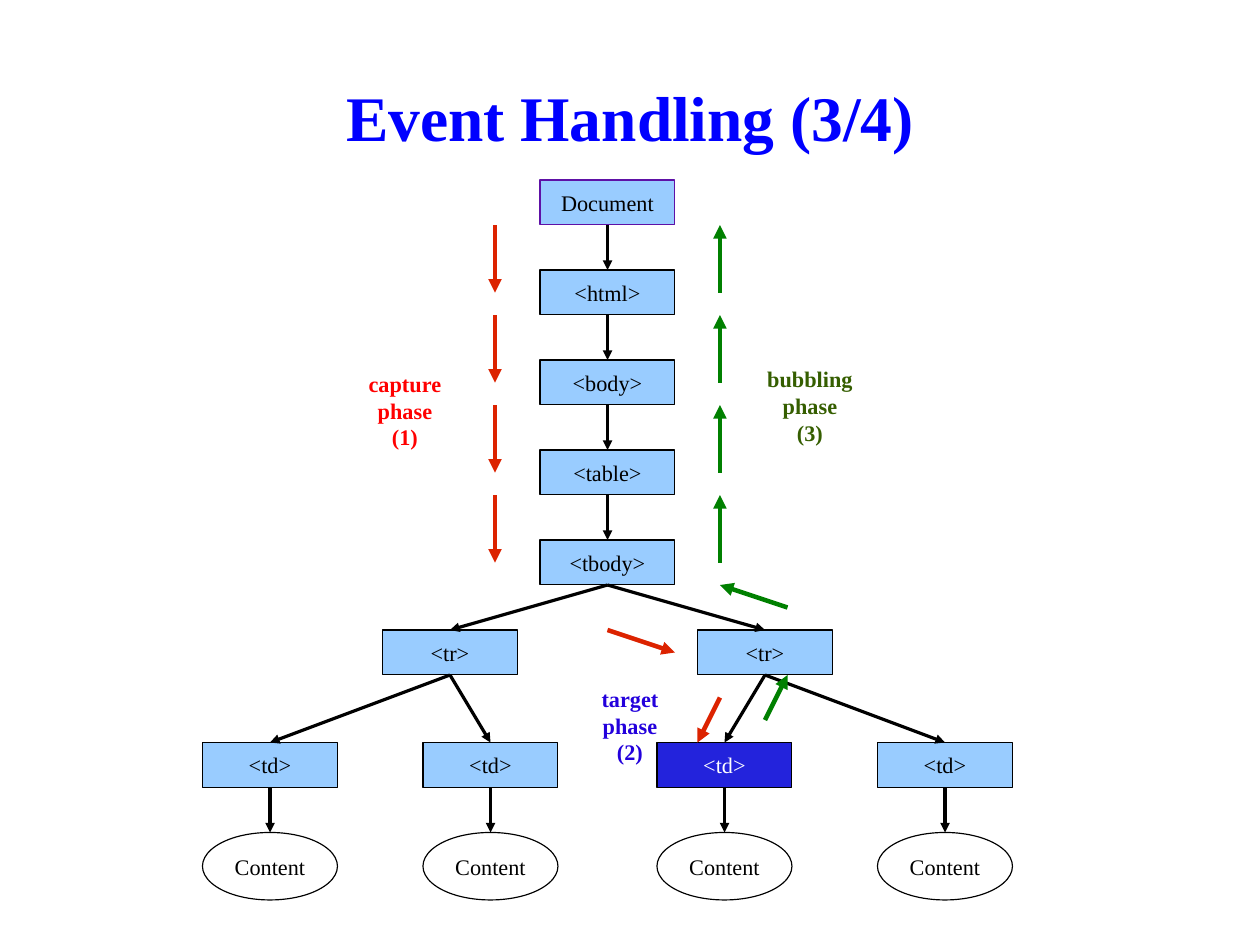
from pptx import Presentation
from pptx.dml.color import RGBColor
from pptx.enum.shapes import MSO_CONNECTOR, MSO_SHAPE
from pptx.enum.text import MSO_ANCHOR, PP_ALIGN
from pptx.oxml.ns import qn
from pptx.util import Cm, Pt
from lxml.etree import SubElement

# The slide is a grid of 56 columns by 42 rows, half a centimetre each
COLUMNS, ROWS = 56, 42
NODE_WIDTH, NODE_HEIGHT, OVAL_HEIGHT = 6, 2, 3
SPINE_STEP = 4
FONT = "Times New Roman"
BLACK, WHITE, SKY = "000000", "FFFFFF", "99CCFF"
CAPTURE, BUBBLE = "DC2300", "008000"


def grid(units):
    return Cm(units * 0.5)


def paint(color_format, value):
    color_format.rgb = RGBColor.from_string(value)


def write(frame, text, size=14, color=BLACK, bold=False,
          anchor=MSO_ANCHOR.MIDDLE, wrap=False):
    """Fill a text frame with centred lines."""
    frame.word_wrap = wrap
    frame.vertical_anchor = anchor
    frame.text = text
    for para in frame.paragraphs:
        para.alignment = PP_ALIGN.CENTER
        for span in para.runs:
            span.font.name = FONT
            span.font.size = Pt(size)
            span.font.bold = bold
            paint(span.font.color, color)


def add_node(page, left, top, text, height=NODE_HEIGHT, kind=MSO_SHAPE.RECTANGLE,
             fill=SKY, line=BLACK, color=BLACK):
    box = page.shapes.add_shape(kind, grid(left), grid(top),
                                grid(NODE_WIDTH), grid(height))
    box.shadow.inherit = False
    box.fill.solid()
    paint(box.fill.fore_color, fill)
    paint(box.line.color, line)
    box.line.width = Pt(0)
    write(box.text_frame, text, color=color)


def add_arrow(page, start, end, color=BLACK, width=0):
    arrow = page.shapes.add_connector(MSO_CONNECTOR.STRAIGHT,
                                      *map(grid, start + end))
    paint(arrow.line.color, color)
    arrow.line.width = Pt(width)
    SubElement(arrow.line._ln, qn("a:tailEnd"), type="triangle")
    SubElement(arrow._element.spPr, qn("a:effectLst"))


def add_label(page, left, top, text, color):
    box = page.shapes.add_textbox(grid(left), grid(top),
                                  grid(NODE_WIDTH), grid(3.75))
    write(box.text_frame, text, color=color, bold=True,
          anchor=MSO_ANCHOR.TOP, wrap=True)


def add_title(page, text):
    title = page.shapes.title
    title.left, title.top = grid(COLUMNS * 0.05), grid(ROWS * 0.04)
    title.width, title.height = grid(COLUMNS * 0.9), grid(ROWS / 6)
    frame = title.text_frame
    frame.margin_left = frame.margin_right = 0
    frame.margin_top = frame.margin_bottom = 0
    write(frame, text, size=40, color="0000FF", bold=True, wrap=True)


def add_spine(page, left, top, names):
    """Chain of single nodes from the document down to the table body."""
    center = left + NODE_WIDTH / 2
    for index, name in enumerate(names):
        y = top + index * SPINE_STEP
        add_node(page, left, y, name, line=BLACK if index else "5E11A6")
        if index:
            add_arrow(page, (center, y - SPINE_STEP + NODE_HEIGHT), (center, y))


def add_branch(page, left, top, parent, cells, cell_top, target=None):
    """A table row under its parent point, with its cells and their content."""
    center, bottom = left + NODE_WIDTH / 2, top + NODE_HEIGHT
    add_node(page, left, top, "<tr>")
    add_arrow(page, parent, (center, top))
    for cell in cells:
        hit = cell == target
        middle, cell_bottom = cell + NODE_WIDTH / 2, cell_top + NODE_HEIGHT
        add_node(page, cell, cell_top, "<td>", fill="2323DC" if hit else SKY,
                 color=WHITE if hit else BLACK)
        add_node(page, cell, cell_bottom + 2, "Content", height=OVAL_HEIGHT,
                 kind=MSO_SHAPE.OVAL, fill=WHITE)
        add_arrow(page, (center, bottom), (middle, cell_top))
        add_arrow(page, (middle, cell_bottom), (middle, cell_bottom + 2))


def add_phases(page, left, right, top):
    """Thick arrows down the capture side and up the bubbling side."""
    routes = [
        (CAPTURE, (27, 28), (30, 29)),
        (CAPTURE, (32, 31), (31, 33)),
        (BUBBLE, (34, 32), (35, 30)),
        (BUBBLE, (35, 27), (32, 26)),
    ]
    for step in range(4):
        y = top + step * SPINE_STEP
        routes.append((CAPTURE, (left, y), (left, y + 3)))
        routes.append((BUBBLE, (right, y + 3), (right, y)))
    for color, start, end in routes:
        add_arrow(page, start, end, color, width=2.83)


def main():
    deck = Presentation()
    deck.slide_width, deck.slide_height = grid(COLUMNS), grid(ROWS)
    page = deck.slides.add_slide(deck.slide_layouts[5])
    add_title(page, "Event Handling (3/4)")

    # Document tree
    add_spine(page, 24, 8, ["Document", "<html>", "<body>", "<table>", "<tbody>"])
    add_branch(page, 17, 28, (27, 26), [9, 18.8], 33)
    add_branch(page, 31, 28, (27, 26), [29.2, 39], 33, target=29.2)

    # Event phases
    add_phases(page, 22, 32, 10)
    add_label(page, 15, 16.2, "capture\nphase\n(1)", "FF0000")
    add_label(page, 33, 16, "bubbling\nphase\n(3)", "355E00")
    add_label(page, 25, 30.2, "target\nphase\n(2)", "2300DC")
    deck.save("out.pptx")


if __name__ == "__main__":
    main()
